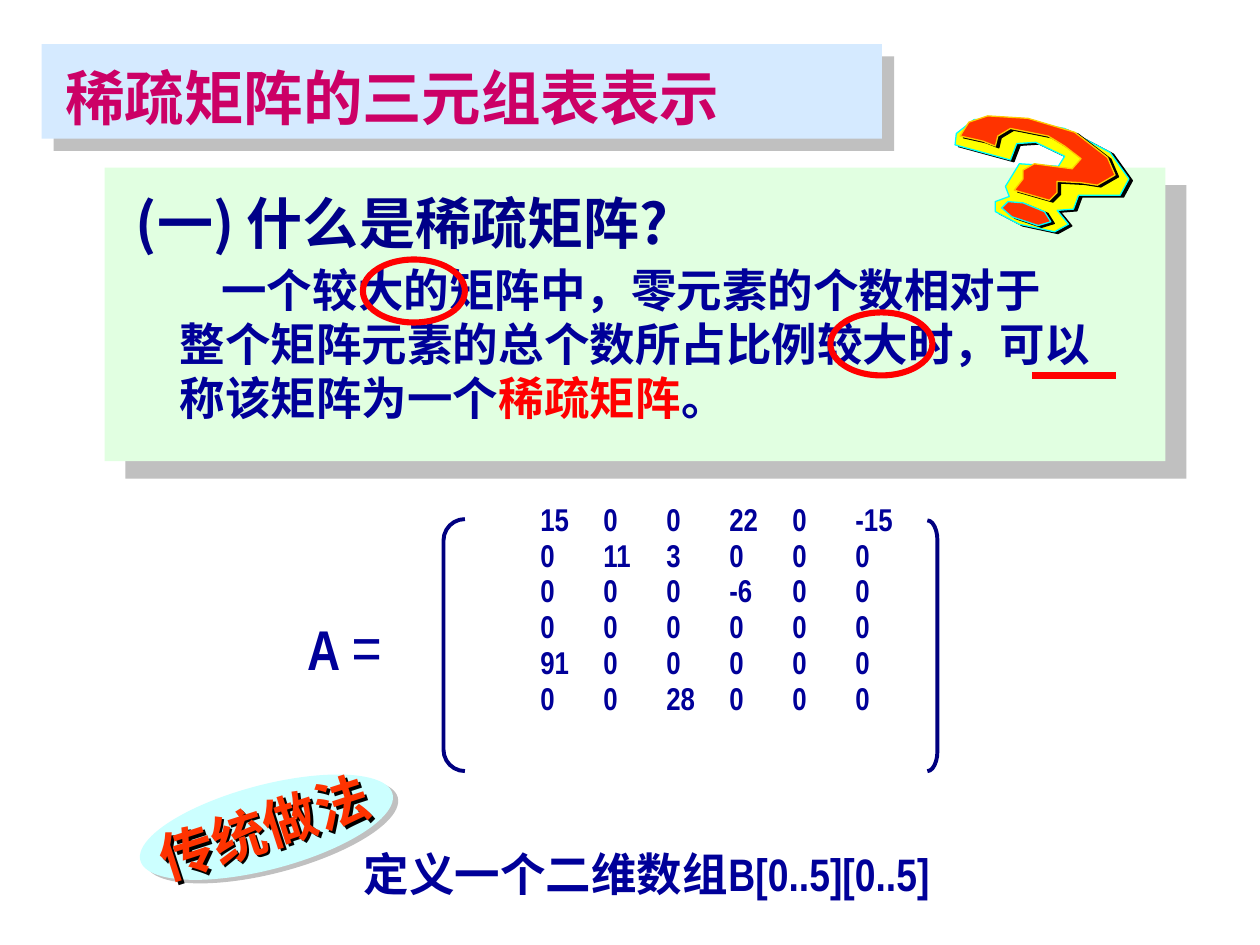
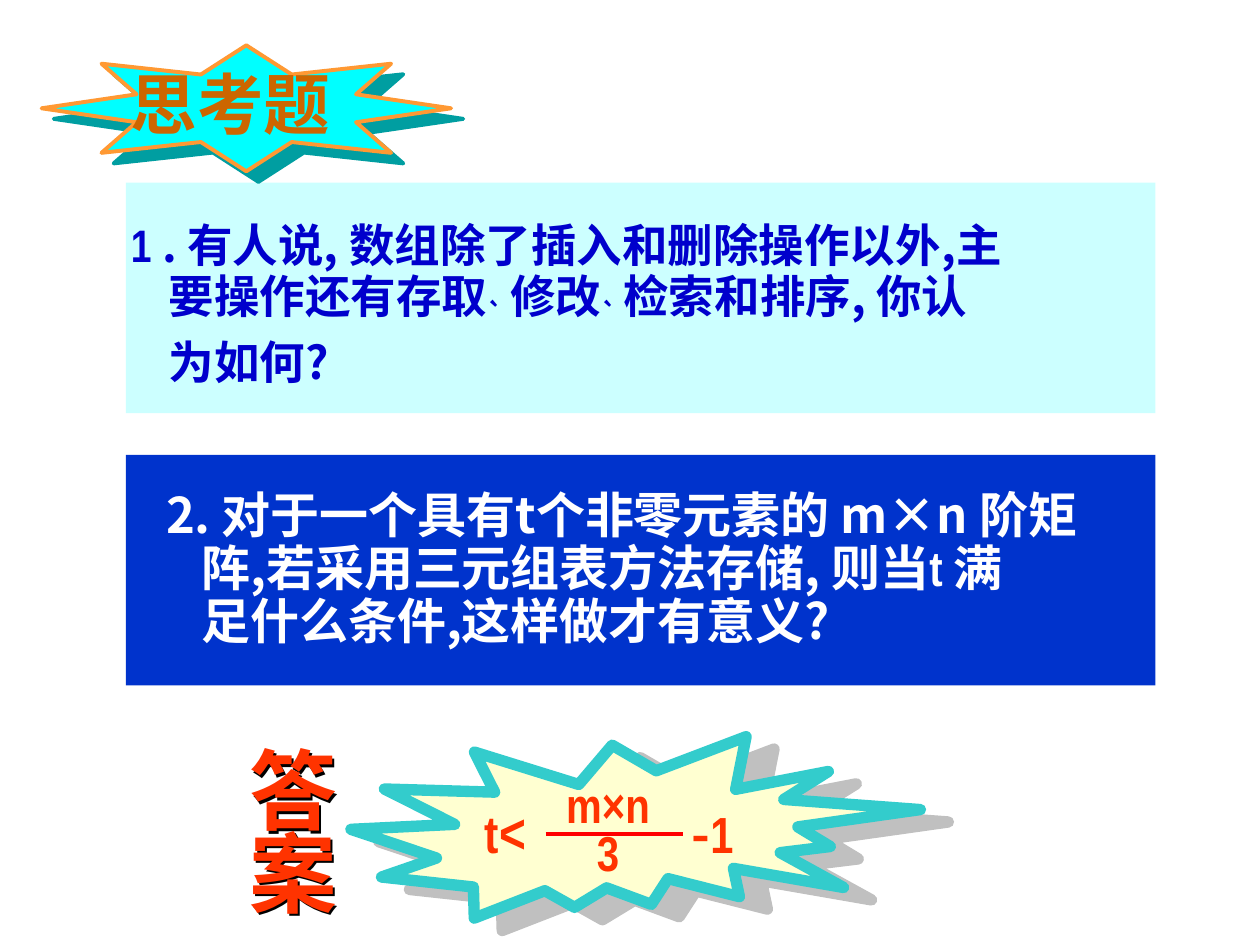
from dataclasses import dataclass, replace
from typing import NamedTuple

from lxml import etree
from pptx import Presentation
from pptx.dml.color import RGBColor
from pptx.enum.shapes import MSO_CONNECTOR, MSO_SHAPE
from pptx.enum.text import MSO_ANCHOR, PP_ALIGN
from pptx.oxml.ns import qn
from pptx.util import Inches, Pt

RECT = MSO_SHAPE.RECTANGLE
OVAL = MSO_SHAPE.OVAL
STAR = MSO_SHAPE.STAR_8_POINT
BURST = MSO_SHAPE.EXPLOSION2
LEFT_BRACKET = MSO_SHAPE.LEFT_BRACKET
RIGHT_BRACKET = MSO_SHAPE.RIGHT_BRACKET
STRAIGHT = MSO_CONNECTOR.STRAIGHT
MIDDLE = MSO_ANCHOR.MIDDLE
LEFT, CENTER = PP_ALIGN.LEFT, PP_ALIGN.CENTER

WIDTH, HEIGHT = Inches(10), Inches(7.5)
COLUMNS, ROWS = 100, 75

HAN, NARROW = "Noto Sans CJK SC", "Arial Narrow"
NAVY, INK, RED, ORANGE = "000080", "000099", "FF0000", "FF3300"
GREY, BLACK, WHITE, AQUA, PALE_AQUA = "C0C0C0", "000000", "FFFFFF", "00FFFF", "CCFFFF"


class Area(NamedTuple):
    column: float
    row: float
    columns: float
    rows: float


class Shadow(NamedTuple):
    color: str
    distance: float
    angle: float


class Stroke(NamedTuple):
    color: str
    width: float


@dataclass(frozen=True)
class Face:
    size: float
    color: str
    name: str = HAN
    bold: bool = True
    baseline: int = 0


class Piece(NamedTuple):
    text: str
    face: Face | None = None


class Line(NamedTuple):
    pieces: tuple[Piece, ...]
    indent: float = 0


@dataclass(frozen=True)
class Figure:
    kind: int
    area: Area
    fill: str | None = None
    stroke: Stroke | None = None
    shadow: Shadow | None = None
    turn: float = 0
    bend: float | None = None


@dataclass(frozen=True)
class Passage:
    area: Area
    face: Face
    lines: tuple[Line, ...]
    pitch: float | None = None
    align: int = LEFT
    turn: float = 0
    shadow: Shadow | None = None
    tabs: tuple[float, ...] = ()


class Outline(NamedTuple):
    points: tuple[tuple[float, float], ...]
    fill: str
    stroke: Stroke


def plain(text: str, indent: float = 0) -> Line:
    return Line((Piece(text),), indent)


def rgb(color: str) -> RGBColor:
    return RGBColor.from_string(color)


def across(columns: float) -> int:
    return round(WIDTH * columns / COLUMNS)


def down(rows: float) -> int:
    return round(HEIGHT * rows / ROWS)


def place(area: Area) -> tuple[int, int, int, int]:
    return across(area.column), down(area.row), across(area.columns), down(area.rows)


def cast(shape, shadow: Shadow | None) -> None:
    effects = shape._element.spPr.find(qn("a:effectLst"))
    if effects is None:
        effects = etree.SubElement(shape._element.spPr, qn("a:effectLst"))
    if shadow:
        outer = etree.SubElement(
            effects, qn("a:outerShdw"), dist=str(Pt(shadow.distance)),
            dir=str(round(shadow.angle * 60000)), algn="ctr", rotWithShape="0")
        etree.SubElement(outer, qn("a:srgbClr"), val=shadow.color)


def paint(shape, fill: str | None, stroke: Stroke | None, shadow: Shadow | None) -> None:
    if fill:
        shape.fill.solid()
        shape.fill.fore_color.rgb = rgb(fill)
    else:
        shape.fill.background()
    if stroke:
        shape.line.color.rgb = rgb(stroke.color)
        shape.line.width = Pt(stroke.width)
    else:
        shape.line.fill.background()
    shape.shadow.inherit = False
    cast(shape, shadow)


def draw_figure(slide, figure: Figure) -> None:
    shape = slide.shapes.add_shape(figure.kind, *place(figure.area))
    shape.rotation = figure.turn
    if figure.bend is not None:
        shape.adjustments[0] = figure.bend
    paint(shape, figure.fill, figure.stroke, figure.shadow)


def draw_outline(slide, outline: Outline) -> None:
    start, *rest = [(Inches(x), Inches(y)) for x, y in outline.points]
    builder = slide.shapes.build_freeform(*start)
    builder.add_line_segments(rest, close=True)
    paint(builder.convert_to_shape(), outline.fill, outline.stroke, Shadow(BLACK, 2.2, 27))


def draw_rule(slide, column: float, row: float, columns: float, stroke: Stroke) -> None:
    rule = slide.shapes.add_connector(
        STRAIGHT, across(column), down(row), across(column + columns), down(row))
    rule.line.color.rgb = rgb(stroke.color)
    rule.line.width = Pt(stroke.width)
    cast(rule, None)


def set_face(font, face: Face) -> None:
    font.name, font.size, font.bold = face.name, Pt(face.size), face.bold
    font.color.rgb = rgb(face.color)
    etree.SubElement(font._rPr, qn("a:ea"), typeface=HAN)
    if face.baseline:
        font._rPr.set("baseline", str(face.baseline * 1000))


def write(slide, passage: Passage) -> None:
    box = slide.shapes.add_textbox(*place(passage.area))
    box.rotation = passage.turn
    if passage.shadow:
        cast(box, passage.shadow)
    frame = box.text_frame
    frame.word_wrap = True
    frame.vertical_anchor = MIDDLE
    for number, line in enumerate(passage.lines):
        paragraph = frame.add_paragraph() if number else frame.paragraphs[0]
        paragraph.alignment = passage.align
        if passage.pitch:
            paragraph.line_spacing = Pt(passage.pitch)
        properties = paragraph._p.get_or_add_pPr()
        properties.set("marL", "0")
        properties.set("indent", str(across(line.indent)))
        if passage.tabs:
            stops = etree.SubElement(properties, qn("a:tabLst"))
            for stop in passage.tabs:
                etree.SubElement(stops, qn("a:tab"), pos=str(across(stop)), algn="ctr")
        set_face(paragraph.font, passage.face)
        for piece in line.pieces:
            run = paragraph.add_run()
            run.text = piece.text
            if piece.face:
                set_face(run.font, piece.face)


def build_definition(slide) -> None:
    body = Face(26, INK)
    ring = Stroke(RED, 3.5)
    bracket = Stroke(NAVY, 2.25)
    draw_figure(slide, Figure(RECT, Area(8.3, 13.3, 84.2, 23.3), "E1FFE1",
                              shadow=Shadow(GREY, 15.6, 40)))
    write(slide, Passage(Area(9.8, 14.4, 60, 6.4), Face(32, "000088"),
                         (plain("(一) 什么是稀疏矩阵?"),)))
    write(slide, Passage(Area(13.3, 20.2, 83.3, 14.1), body, (
        plain("一个较大的矩阵中，零元素的个数相对于", 3.3),
        plain("整个矩阵元素的总个数所占比例较大时，可以"),
        Line((Piece("称该矩阵为一个"), Piece("稀疏矩阵", replace(body, color=RED)),
              Piece("。"))),
    ), pitch=31))
    for column, row in ((28.8, 20.6), (65.9, 24.8)):
        draw_figure(slide, Figure(OVAL, Area(column, row, 8.1, 5), stroke=ring))
    draw_rule(slide, 81.9, 29.8, 6.7, Stroke(RED, 4))

    symbol = Face(32, INK, NARROW)
    write(slide, Passage(Area(23.4, 47.7, 11.5, 7.1), symbol, (
        Line((Piece("A "), Piece("=", replace(symbol, size=36, bold=False)))),)))
    matrix = (
        (15, 0, 0, 22, 0, -15),
        (0, 11, 3, 0, 0, 0),
        (0, 0, 0, -6, 0, 0),
        (0, 0, 0, 0, 0, 0),
        (91, 0, 0, 0, 0, 0),
        (0, 0, 28, 0, 0, 0),
    )
    write(slide, Passage(
        Area(36.9, 39.2, 37.5, 18.3), Face(18, INK, NARROW),
        tuple(plain("".join(f"\t{value}" for value in values)) for values in matrix),
        pitch=20.5, tabs=tuple(1.6 + 4.2 * step for step in range(6))))
    draw_figure(slide, Figure(LEFT_BRACKET, Area(35.2, 41.2, 1.7, 20), stroke=bracket, bend=1))
    draw_figure(slide, Figure(RIGHT_BRACKET, Area(73.6, 41.3, 0.8, 19.9),
                              stroke=bracket, bend=1.99))

    hook_side = (
        (8.07, 1.14), (8.22, 1.13), (8.45, 1.24), (8.4, 1.32), (8.09, 1.3), (7.98, 1.48),
        (8.01, 1.56), (7.9, 1.6), (7.9, 1.68), (8.09, 1.78), (8.37, 1.84), (8.48, 1.78),
        (8.39, 1.67), (8.52, 1.66), (8.56, 1.55), (8.89, 1.55), (8.96, 1.42), (8.81, 1.21),
        (8.45, 1.02), (8.01, 0.94), (7.73, 0.95), (7.59, 1.06), (7.58, 1.15), (8.02, 1.27))
    hook_face = (
        (7.62, 1.08), (7.8, 1.12), (7.9, 1.16), (7.92, 1.08), (8.02, 1.02), (8.32, 1.08),
        (8.45, 1.16), (8.58, 1.26), (8.51, 1.34), (8.21, 1.3), (8.12, 1.35), (8.12, 1.42),
        (8.05, 1.51), (8.33, 1.59), (8.39, 1.53), (8.39, 1.44), (8.58, 1.45), (8.71, 1.47),
        (8.85, 1.39), (8.79, 1.25), (8.53, 1.05), (8.16, 0.94), (7.84, 0.92), (7.69, 0.97))
    dot = ((8.12, 1.61), (8, 1.6), (7.95, 1.65), (8.03, 1.72), (8.24, 1.79),
           (8.34, 1.76), (8.29, 1.68))
    for outline in (Outline(hook_side, "FFFF00", Stroke(AQUA, 0.75)),
                    Outline(hook_face, ORANGE, Stroke("FFCC00", 0.75)),
                    Outline(dot, ORANGE, Stroke(AQUA, 0.75))):
        draw_outline(slide, outline)

    draw_figure(slide, Figure(RECT, Area(3.3, 3.5, 66.7, 7.5), "D5EAFF",
                              shadow=Shadow(GREY, 9.9, 45)))
    write(slide, Passage(Area(4.2, 4.3, 65.5, 6.7), Face(34, "CC0066", NARROW),
                         (plain("稀疏矩阵的三元组表表示"),)))
    write(slide, Passage(Area(27.9, 66.6, 58.3, 5.4), body, (
        Line((Piece("定义一个二维数组"),
              Piece("B[0..5][0..5]", replace(body, name=NARROW)))),)))
    draw_figure(slide, Figure(OVAL, Area(10.8, 62.3, 20.7, 6.7), PALE_AQUA,
                              shadow=Shadow(GREY, 3.6, 34), turn=345.2))
    write(slide, Passage(Area(11.3, 61.9, 23.2, 6.2), Face(31, ORANGE, NARROW),
                         (plain("传统做法"),), turn=342.1, shadow=Shadow(BLACK, 2, 45)))


def build_questions(slide) -> None:
    for row, fill in ((14.5, PALE_AQUA), (36.1, "0033CC")):
        draw_figure(slide, Figure(RECT, Area(10, row, 81.7, 18.3), fill))

    first = Face(26, "0000CC")
    low = Piece("` ", replace(first, baseline=-25))
    write(slide, Passage(Area(6.7, 16.3, 84.2, 15.1), first, (
        Line((Piece("1 ", replace(first, name=NARROW)),
              Piece(". 有人说, 数组除了插入和删除操作以外,主")), 2.7),
        Line((Piece("要操作还有存取"), low, Piece("修改"), low, Piece("检索和排序, 你认")), 5.7),
        plain("为如何?", 5.7),
    ), pitch=33.5))
    second = Face(28, WHITE)
    write(slide, Passage(Area(12.2, 38.4, 81.9, 13.7), second, (
        plain("2. 对于一个具有t个非零元素的 m×n 阶矩"),
        Line((Piece("阵,若采用三元组表方法存储, 则当"),
              Piece("t ", replace(second, name=NARROW)), Piece("满")), 2.8),
        plain("足什么条件,这样做才有意义?", 2.8),
    ), pitch=30.3))

    draw_figure(slide, Figure(STAR, Area(3.3, 3.6, 32.5, 10), AQUA, Stroke("FF9933", 2.25),
                              Shadow("009EA1", 9.2, 41), bend=0.29))
    write(slide, Passage(Area(9.4, 4.5, 20.2, 7.4), Face(38, "CC6600"), (plain("思考题"),)))

    formula = Face(28, ORANGE, NARROW)
    draw_figure(slide, Figure(BURST, Area(27.9, 57.9, 45, 15.8), "FFFFD1",
                              Stroke("33CCCC", 6.5), Shadow(GREY, 17.5, 24), turn=3.8))
    write(slide, Passage(Area(37.5, 62.8, 10, 6.4), replace(formula, size=30), (
        Line((Piece("t"), Piece("<", replace(formula, size=32)))),)))
    write(slide, Passage(Area(41.5, 61.9, 13.5, 8.5), formula,
                         (plain("m×n"), plain("3")), pitch=27.4, align=CENTER))
    draw_rule(slide, 43.3, 66.2, 10.9, Stroke(RED, 2))
    write(slide, Passage(Area(53.9, 63.2, 10.2, 5.9), replace(formula, size=29), (
        Line((Piece("-", Face(29, ORANGE)), Piece("1"))),)))
    write(slide, Passage(Area(18.8, 59.5, 8.3, 14.5), Face(50, ORANGE, NARROW),
                         (plain("答"), plain("案")), pitch=47.4, shadow=Shadow(BLACK, 2, 45)))


def main() -> None:
    deck = Presentation()
    deck.slide_width, deck.slide_height = WIDTH, HEIGHT
    blank = deck.slide_layouts[6]
    for build in (build_definition, build_questions):
        build(deck.slides.add_slide(blank))
    deck.save("out.pptx")


if __name__ == "__main__":
    main()
